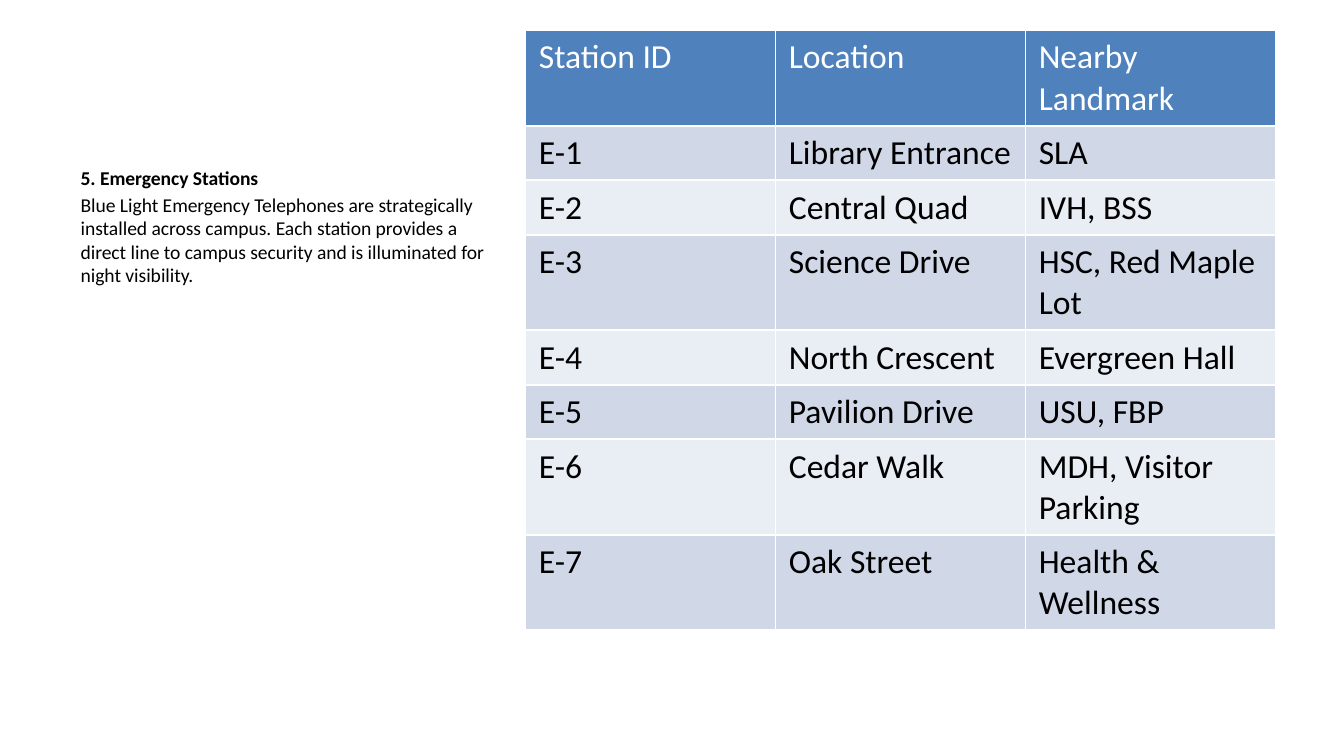
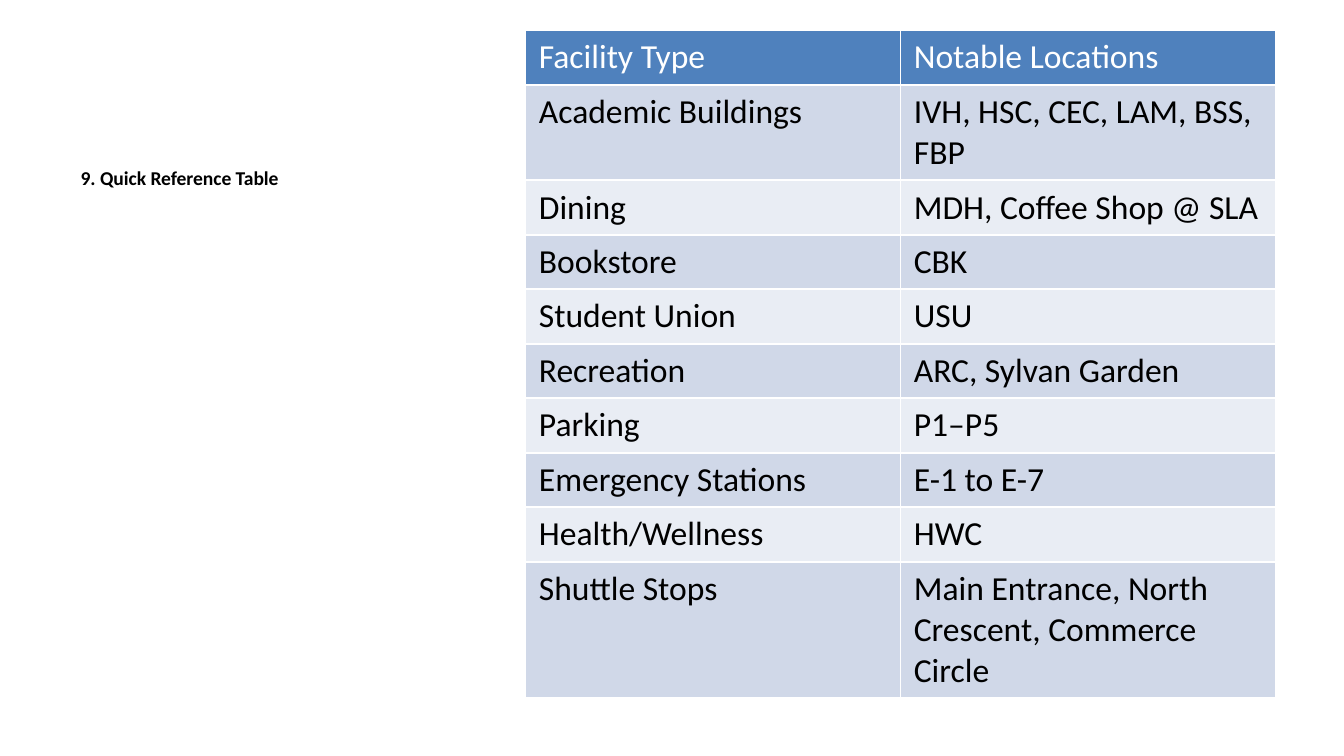
from dataclasses import dataclass
from pptx import Presentation
from pptx import util as u
from pptx.dml import color


@dataclass(frozen=True)
class Theme:
    font: str = "Calibri"
    caption_size: float = 10.5
    table_size: float = 18
    text: str = "000000"
    header_text: str = "FFFFFF"
    header_fill: str = "4F81BD"
    bands: tuple = ("E9EDF4", "D0D8E8")


theme = Theme()


def format_runs(paragraph, size, ink, bold=False):
    for run in paragraph.runs:
        run.font.name = theme.font
        run.font.size = u.Pt(size)
        run.font.bold = bold
        run.font.color.rgb = color.RGBColor.from_string(ink)


sections = [
    (
        "5. Emergency Stations",
        [
            "Blue Light Emergency Telephones are strategically installed across campus. "
            "Each station provides a direct line to campus security and is illuminated "
            "for night visibility."
        ],
        [
            ("Station ID", "Location", "Nearby Landmark"),
            ("E-1", "Library Entrance", "SLA"),
            ("E-2", "Central Quad", "IVH, BSS"),
            ("E-3", "Science Drive", "HSC, Red Maple Lot"),
            ("E-4", "North Crescent", "Evergreen Hall"),
            ("E-5", "Pavilion Drive", "USU, FBP"),
            ("E-6", "Cedar Walk", "MDH, Visitor Parking"),
            ("E-7", "Oak Street", "Health & Wellness"),
        ],
    ),
    (
        "9. Quick Reference Table",
        [],
        [
            ("Facility Type", "Notable Locations"),
            ("Academic Buildings", "IVH, HSC, CEC, LAM, BSS, FBP"),
            ("Dining", "MDH, Coffee Shop @ SLA"),
            ("Bookstore", "CBK"),
            ("Student Union", "USU"),
            ("Recreation", "ARC, Sylvan Garden"),
            ("Parking", "P1–P5"),
            ("Emergency Stations", "E-1 to E-7"),
            ("Health/Wellness", "HWC"),
            ("Shuttle Stops", "Main Entrance, North Crescent, Commerce Circle"),
        ],
    ),
]

deck = Presentation()
deck.slide_width = u.Inches(10)
deck.slide_height = deck.slide_width * 9 // 16
caption_layout = deck.slide_layouts.get_by_name("Content with Caption")

margin = u.Inches(0.5)
caption_top = int(deck.slide_height * 0.21)
caption_width = u.Inches(3.29)
caption_height = u.Inches(3.85)
table_left = u.Inches(3.91)
table_top = int(deck.slide_height * 0.04)
table_width = u.Inches(5.58)
table_height = u.Inches(4.79)

for heading, details, rows in sections:
    slide = deck.slides.add_slide(caption_layout)
    title, content, caption = slide.placeholders
    for unused in (title, content):
        unused.element.getparent().remove(unused.element)

    caption.left, caption.top = margin, caption_top
    caption.width, caption.height = caption_width, caption_height
    caption.text_frame.text = "\n".join([heading, *details])
    for index, paragraph in enumerate(caption.text_frame.paragraphs):
        if index == 0:
            paragraph.space_before = u.Pt(0)
        format_runs(paragraph, theme.caption_size, theme.text, bold=index == 0)

    directory = slide.shapes.add_table(
        len(rows), len(rows[0]), table_left, table_top, table_width, table_height
    )
    for row, entries in enumerate(rows):
        directory.table.rows[row].height = 0
        fill = theme.bands[row % 2] if row else theme.header_fill
        ink = theme.text if row else theme.header_text
        for column, entry in enumerate(entries):
            cell = directory.table.cell(row, column)
            cell.fill.solid()
            cell.fill.fore_color.rgb = color.RGBColor.from_string(fill)
            cell.text_frame.text = entry
            format_runs(cell.text_frame.paragraphs[0], theme.table_size, ink)
    directory.height = table_height

deck.save("out.pptx")
